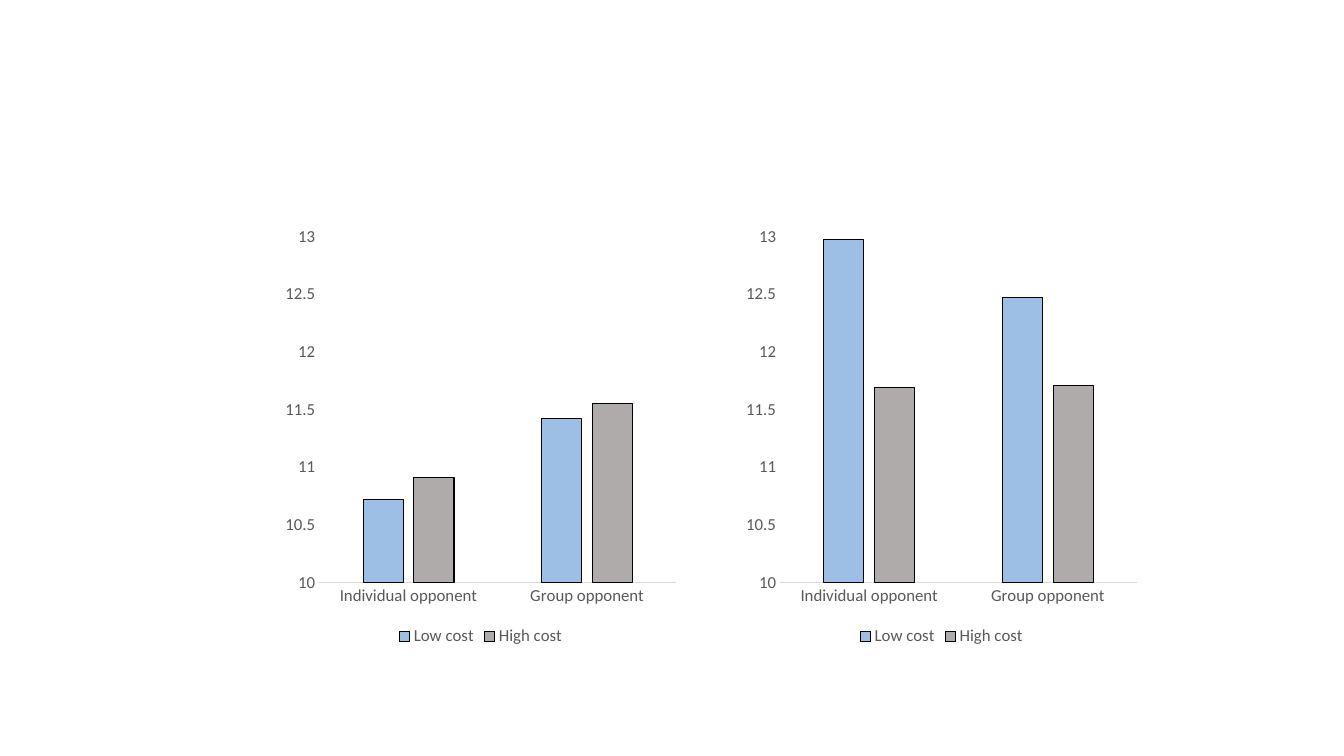
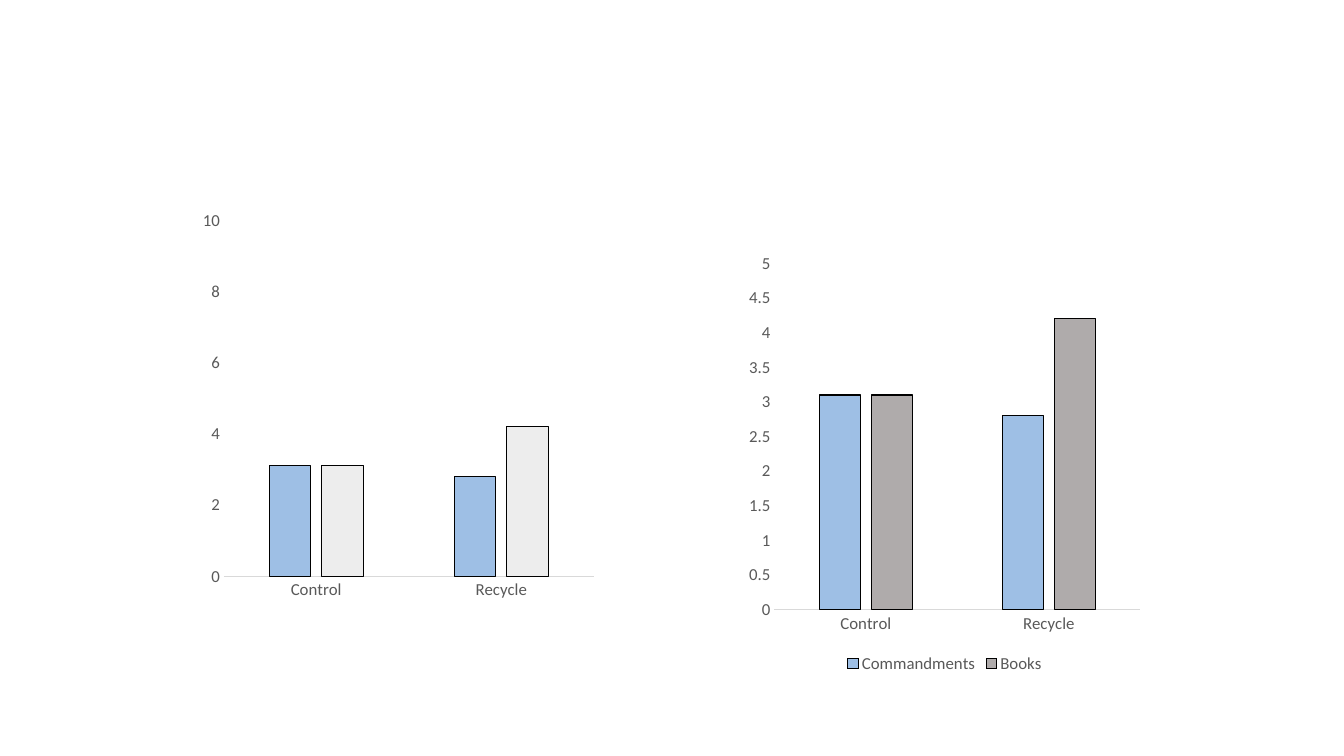
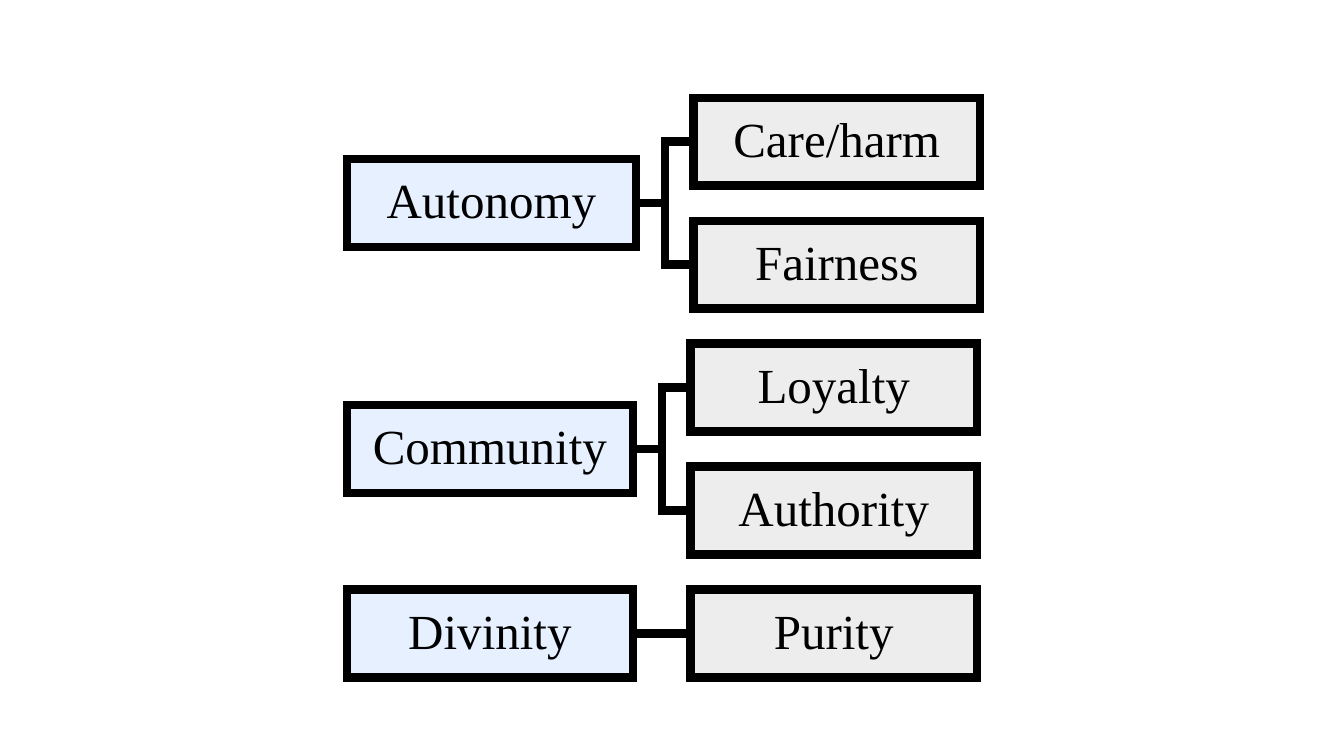
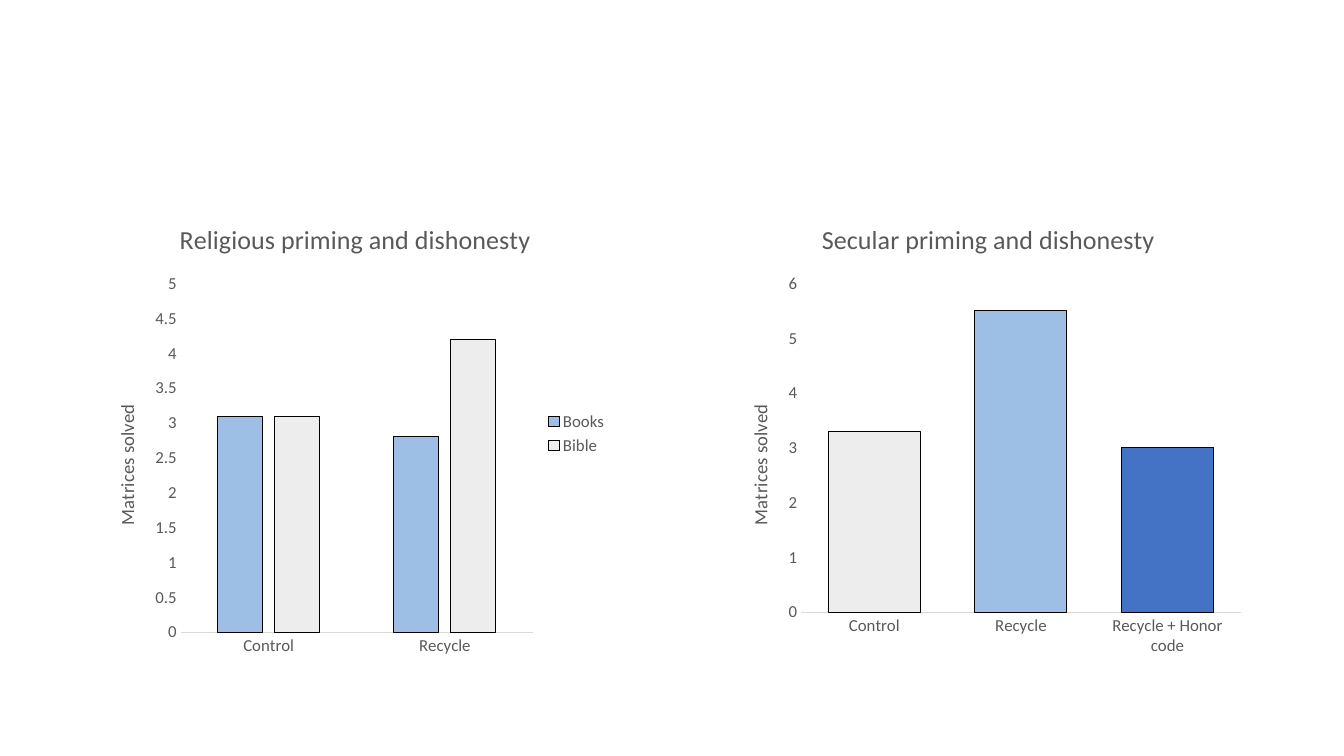
from dataclasses import dataclass
from typing import Optional

from lxml.etree import SubElement
from pptx import Presentation
from pptx.chart.data import CategoryChartData
from pptx.dml.color import RGBColor as Rgb
from pptx.enum.chart import XL_CHART_TYPE as ChartType
from pptx.enum.chart import XL_LEGEND_POSITION as LegendPosition
from pptx.enum.chart import XL_TICK_MARK as TickMark
from pptx.enum.shapes import MSO_CONNECTOR as ConnectorType
from pptx.enum.shapes import MSO_SHAPE as ShapeType
from pptx.enum.text import MSO_ANCHOR as Anchor
from pptx.enum.text import PP_ALIGN as Align
from pptx.oxml.ns import qn
from pptx.util import Emu, Pt

EMU_PER_PX = 9144  # 100 px to the inch


def px(length: int) -> Emu:
    return Emu(length * EMU_PER_PX)


@dataclass(frozen=True)
class Theme:
    black: Rgb = Rgb.from_string("000000")
    gray_text: Rgb = Rgb.from_string("595959")
    axis_line: Rgb = Rgb.from_string("D9D9D9")
    light_blue: Rgb = Rgb.from_string("9EBFE5")
    strong_blue: Rgb = Rgb.from_string("4472C4")
    pale_blue: Rgb = Rgb.from_string("E6F0FF")
    warm_gray: Rgb = Rgb.from_string("AFABAB")
    pale_gray: Rgb = Rgb.from_string("EDEDED")
    chart_font: str = "Calibri"
    box_font: str = "Times New Roman"
    label_size: float = 12
    axis_title_size: float = 13.3
    chart_title_size: float = 18.6
    box_size: float = 35
    thin_line: float = 0.75
    thick_line: float = 6


THEME = Theme()


@dataclass(frozen=True)
class Series:
    name: str
    values: tuple[float, ...]
    color: Rgb
    point_colors: tuple[Rgb, ...] = ()


@dataclass(frozen=True)
class ColumnChart:
    left: int
    top: int
    categories: tuple[str, ...]
    series: tuple[Series, ...]
    maximum: float
    step: float
    minimum: float = 0
    width: int = 404
    height: int = 429
    gap: int = 219
    legend: Optional[LegendPosition] = LegendPosition.BOTTOM
    title: str = ""
    value_title: str = ""


@dataclass(frozen=True)
class Branch:
    """An ethic on the left and the foundations that hang from it."""

    ethic: str
    foundations: tuple[str, ...]
    ethic_width: int = 284


def set_font(font, *, name: str, size: float, color: Rgb) -> None:
    font.name = name
    font.size = Pt(size)
    font.bold = False
    font.color.rgb = color


def write_text(frame, text: str, *, name: str = THEME.chart_font, size: float,
               color: Rgb = THEME.gray_text, align: Align = Align.CENTER,
               line_spacing: Optional[float] = None) -> None:
    para = frame.paragraphs[0]
    para.alignment = align
    para.line_spacing = line_spacing
    span = para.add_run()
    span.text = text
    set_font(span.font, name=name, size=size, color=color)


def set_fill(part, color: Rgb) -> None:
    part.fill.solid()
    part.fill.fore_color.rgb = color


def set_line(line, color: Rgb, width: float) -> None:
    line.color.rgb = color
    line.width = Pt(width)


def miter_corners(shape) -> None:
    outline = shape.element.spPr.find(qn("a:ln"))
    SubElement(outline, qn("a:miter")).set("lim", "800000")


def style_axes(chart, column: ColumnChart) -> None:
    category_axis, value_axis = chart.category_axis, chart.value_axis
    for axis in (category_axis, value_axis):
        axis.has_major_gridlines = False
        axis.major_tick_mark = axis.minor_tick_mark = TickMark.NONE
        set_font(axis.tick_labels.font, name=THEME.chart_font,
                 size=THEME.label_size, color=THEME.gray_text)
    set_line(category_axis.format.line, THEME.axis_line, THEME.thin_line)
    value_axis.format.line.fill.background()
    value_axis.minimum_scale = column.minimum
    value_axis.maximum_scale = column.maximum
    value_axis.major_unit = column.step
    if column.value_title:
        frame = value_axis.axis_title.text_frame
        write_text(frame, column.value_title, size=THEME.axis_title_size)
        frame._txBody.bodyPr.set("rot", "-5400000")


def style_series(plot, column: ColumnChart) -> None:
    plot.gap_width = column.gap
    plot.overlap = -27
    plot.vary_by_categories = False
    for drawn, series in zip(plot.series, column.series):
        formats = [(drawn.format, series.color)]
        formats += [(drawn.points[index].format, color)
                    for index, color in enumerate(series.point_colors)]
        for bar_format, color in formats:
            set_fill(bar_format, color)
            set_line(bar_format.line, THEME.black, THEME.thin_line)


def add_column_chart(page, column: ColumnChart) -> None:
    data = CategoryChartData()
    data.categories = column.categories
    for series in column.series:
        data.add_series(series.name, series.values)
    chart = page.shapes.add_chart(
        ChartType.COLUMN_CLUSTERED, px(column.left), px(column.top),
        px(column.width), px(column.height), data).chart
    set_font(chart.font, name=THEME.chart_font, size=THEME.label_size,
             color=THEME.gray_text)
    chart.has_title = bool(column.title)
    if column.title:
        write_text(chart.chart_title.text_frame, column.title,
                   size=THEME.chart_title_size)
    chart.has_legend = column.legend is not None
    if column.legend is not None:
        chart.legend.position = column.legend
        chart.legend.include_in_layout = False
        set_font(chart.legend.font, name=THEME.chart_font,
                 size=THEME.label_size, color=THEME.gray_text)
    style_axes(chart, column)
    style_series(chart.plots[0], column)


BOX_HEIGHT = 87
ROW_PITCH = 122
FIRST_ROW = 97
ETHIC_LEFT = 344
FOUNDATION_WIDTH = 284
COLUMN_GAP = 57


def add_box(page, text: str, left: int, top: int, width: int, color: Rgb):
    box = page.shapes.add_shape(ShapeType.RECTANGLE, px(left), px(top),
                                px(width), px(BOX_HEIGHT))
    box.shadow.inherit = False
    set_fill(box, color)
    set_line(box.line, THEME.black, THEME.thick_line)
    miter_corners(box)
    frame = box.text_frame
    frame.word_wrap = True
    frame.vertical_anchor = Anchor.MIDDLE
    frame.margin_left = frame.margin_right = px(2)
    frame.margin_top = frame.margin_bottom = px(2)
    write_text(frame, text, name=THEME.box_font, size=THEME.box_size,
               color=THEME.black, line_spacing=0.9)
    return box


def join_boxes(page, start, end, kind: ConnectorType) -> None:
    """Link the right side of start to the left side of end."""
    connector = page.shapes.add_connector(kind, 0, 0, 0, 0)
    connector.begin_connect(start, 3)
    connector.end_connect(end, 1)
    set_line(connector.line, THEME.black, THEME.thick_line)
    miter_corners(connector)
    SubElement(connector.element.spPr, qn("a:effectLst"))


def add_branch(page, branch: Branch, first_row: int) -> None:
    """Draw one branch, its ethic centred on the rows it takes."""
    count = len(branch.foundations)
    top = FIRST_ROW + first_row * ROW_PITCH
    ethic = add_box(page, branch.ethic, ETHIC_LEFT,
                    top + (count - 1) * ROW_PITCH // 2,
                    branch.ethic_width, THEME.pale_blue)
    left = ETHIC_LEFT + branch.ethic_width + COLUMN_GAP
    kind = ConnectorType.STRAIGHT if count == 1 else ConnectorType.ELBOW
    for row, name in enumerate(branch.foundations):
        foundation = add_box(page, name, left, top + row * ROW_PITCH,
                             FOUNDATION_WIDTH, THEME.pale_gray)
        join_boxes(page, ethic, foundation, kind)


OPPONENTS = ("Individual opponent", "Group opponent")
CONDITIONS = ("Control", "Recycle")


def paired(names: tuple[str, str], first: tuple[float, ...],
           second: tuple[float, ...], second_color: Rgb) -> tuple[Series, Series]:
    return (Series(names[0], first, THEME.light_blue),
            Series(names[1], second, second_color))


def cost_chart(left: int, low: tuple[float, ...],
               high: tuple[float, ...]) -> ColumnChart:
    return ColumnChart(
        left, 216, OPPONENTS,
        paired(("Low cost", "High cost"), low, high, THEME.warm_gray),
        minimum=10, maximum=13, step=0.5)


def recall_series(names: tuple[str, str], color: Rgb) -> tuple[Series, Series]:
    return paired(names, (3.1, 2.8), (3.1, 4.2), color)


COST_CHARTS = (
    cost_chart(275, (10.72, 11.42), (10.91, 11.55)),
    cost_chart(732, (12.97, 12.47), (11.69, 11.71)),
)
RECALL_CHARTS = (
    ColumnChart(193, 175, CONDITIONS,
                recall_series(("Series 1", "Series 2"), THEME.pale_gray),
                maximum=11, step=2, legend=None),
    ColumnChart(735, 243, CONDITIONS,
                recall_series(("Commandments", "Books"), THEME.warm_gray),
                maximum=5, step=0.5),
)
PRIMING_CHARTS = (
    ColumnChart(92, 200, CONDITIONS,
                recall_series(("Books", "Bible"), THEME.pale_gray),
                maximum=5, step=0.5, width=521, height=460, gap=165,
                legend=LegendPosition.RIGHT,
                title="Religious priming and dishonesty",
                value_title="Matrices solved"),
    ColumnChart(720, 200, CONDITIONS + ("Recycle + Honor code",),
                (Series("Series 1", (3.3, 5.5, 3), THEME.light_blue,
                        (THEME.pale_gray, THEME.light_blue,
                         THEME.strong_blue)),),
                maximum=6, step=1, width=521, height=460, gap=59, legend=None,
                title="Secular priming and dishonesty",
                value_title="Matrices solved"),
)
BRANCHES = (
    Branch("Autonomy", ("Care/harm", "Fairness"), ethic_width=287),
    Branch("Community", ("Loyalty", "Authority")),
    Branch("Divinity", ("Purity",)),
)


def add_page(deck):
    return deck.slides.add_slide(deck.slide_layouts[6])


def add_chart_page(deck, charts: tuple[ColumnChart, ...]) -> None:
    page = add_page(deck)
    for column in charts:
        add_column_chart(page, column)


def add_ethics_page(deck) -> None:
    page = add_page(deck)
    row = 0
    for branch in BRANCHES:
        add_branch(page, branch, row)
        row += len(branch.foundations)


def main() -> None:
    deck = Presentation()
    deck.slide_width, deck.slide_height = px(1333), px(750)
    add_chart_page(deck, COST_CHARTS)
    add_chart_page(deck, RECALL_CHARTS)
    add_ethics_page(deck)
    add_chart_page(deck, PRIMING_CHARTS)
    deck.save("out.pptx")


if __name__ == "__main__":
    main()
